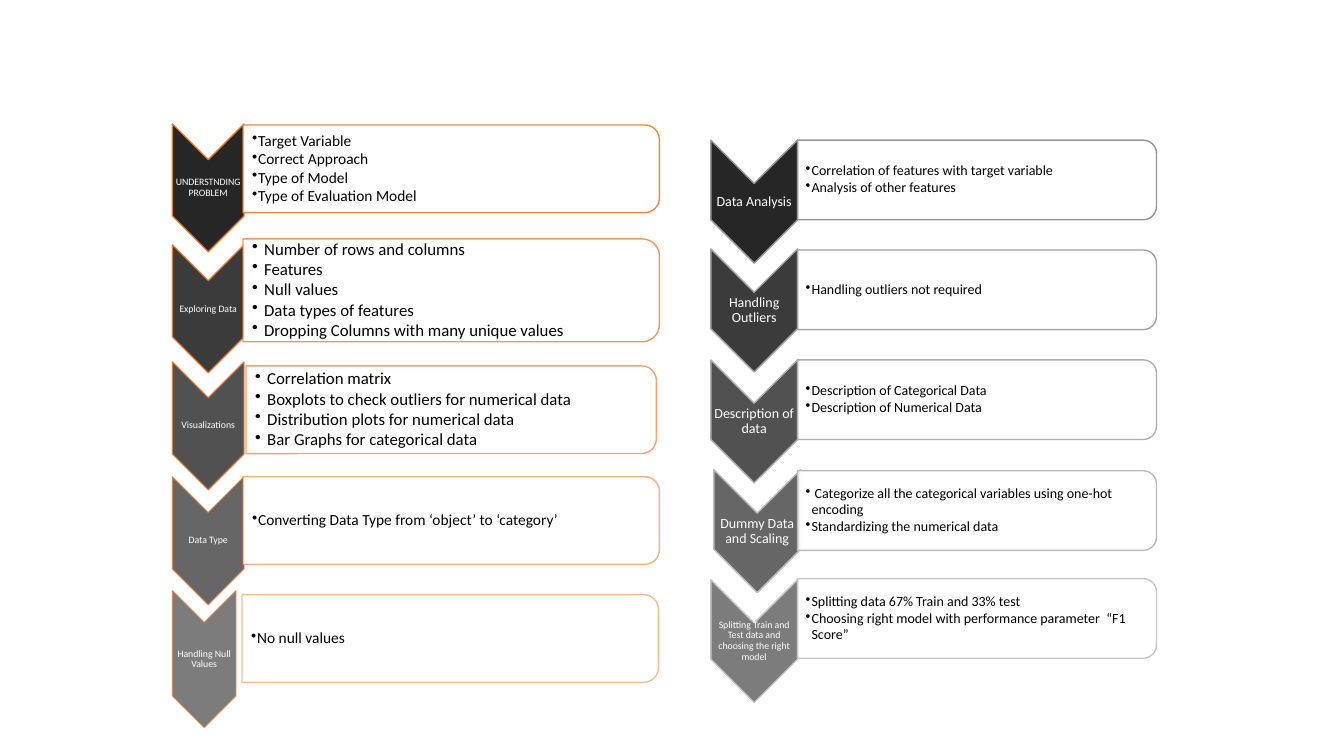
"""Build a slide with two columns of chevron steps, each step beside a bulleted panel."""
import lxml.etree
import pptx
import pptx.dml.color
import pptx.enum.shapes
import pptx.enum.text
import pptx.oxml.ns
import pptx.util
from collections import namedtuple

Step = namedtuple("Step", "label size chev panel text indent points")

LEFT = [
    Step("UNDERSTNDING PROBLEM", 7, (171, 123, 71, 127), (241, 124, 413, 87), 11, 6,
         ["Target Variable", "Correct Approach", "Type of Model",
          "Type of Evaluation Model"]),
    Step("Exploring Data", 7, (171, 243, 71, 127), (241, 237, 413, 102), 12, 12,
         ["Number of rows and columns", "Features", "Null values",
          "Data types of features", "Dropping Columns with many unique values"]),
    Step("Visualizations", 7, (171, 359, 71, 127), (244, 363, 407, 87), 12, 12,
         ["Correlation matrix", "Boxplots to check outliers for numerical data",
          "Distribution plots for numerical data", "Bar Graphs for categorical data"]),
    Step("Data Type", 7, (171, 473, 71, 127), (241, 473, 413, 87), 11, 6,
         ["Converting Data Type from ‘object’ to ‘category’"]),
    Step("Handling Null Values", 7, (171, 586, 63, 136), (240, 590, 413, 87), 11, 6,
         ["No null values"]),
]
RIGHT = [
    Step("Data Analysis", 10, (705, 139, 86, 122), (791, 139, 356, 79), 10, 6,
         ["Correlation of features with target variable", "Analysis of other features"]),
    Step("Handling Outliers", 10, (705, 247, 86, 122), (791, 248, 356, 79), 10, 6,
         ["Handling outliers not required"]),
    Step("Description of data", 10, (705, 357, 86, 122), (791, 357, 356, 79), 10, 6,
         ["Description of Categorical Data", "Description of Numerical Data"]),
    Step("Dummy Data and Scaling", 10, (708, 466, 86, 122), (791, 467, 356, 79), 10, 6,
         [" Categorize all the categorical variables using one-hot encoding",
          "Standardizing the numerical data"]),
    Step("Splitting Train and Test data and choosing the right model", 7,
         (705, 575, 86, 122), (791, 574, 356, 79), 10, 6,
         ["Splitting data 67% Train and 33% test",
          "Choosing right model with performance parameter  “F1 Score”"]),
]
THEME = {
    "font": "Calibri", "dark": "262626", "light": "FFFFFF", "ink": "000000",
    "orange": ["ED7D31"] * 5,
    "grey": ["969696", "A2A2A2", "AEAEAE", "BABABA", "C6C6C6"],
}
SCALE = 9144
MSO = pptx.enum.shapes.MSO_SHAPE
ALIGN = pptx.enum.text.PP_ALIGN


def emu(px):
    return pptx.util.Emu(round(px * SCALE))


def rgb(code):
    return pptx.dml.color.RGBColor.from_string(code)


def paint(fill, code, alpha):
    fill.solid()
    fill.fore_color.rgb = rgb(code)
    if alpha < 100:
        for color in fill._xPr.iter(pptx.oxml.ns.qn("a:srgbClr")):
            tag = pptx.oxml.ns.qn("a:alpha")
            lxml.etree.SubElement(color, tag).set("val", str(alpha * 1000))


def turned(group, kind, box, fill, alpha, line, fade):
    x, y, w, h = box
    shape = group.shapes.add_shape(
        kind, emu(x + (w - h) / 2), emu(y + (h - w) / 2), emu(h), emu(w))
    shape.rotation = 90
    shape.shadow.inherit = False
    paint(shape.fill, fill, alpha)
    shape.line.width = pptx.util.Pt(1)
    paint(shape.line.fill, line, fade)


def write(group, box, lines, size, code, inset, indent=0):
    frame = group.shapes.add_textbox(*map(emu, box)).text_frame
    frame.word_wrap = True
    frame.vertical_anchor = pptx.enum.text.MSO_ANCHOR.MIDDLE
    frame.margin_left = emu(inset)
    frame.margin_top = frame.margin_right = frame.margin_bottom = emu(1 if indent else 0)
    frame.text = "\n".join(lines)
    for para in frame.paragraphs:
        para.line_spacing = 0.9
        font = para.runs[0].font
        font.name, font.size = THEME["font"], pptx.util.Pt(size)
        font.color.rgb = rgb(code)
        if indent:
            para.level = 1
            para.space_after = pptx.util.Pt(round(size * 0.13, 1))
            props = para._p.get_or_add_pPr()
            props.set("marL", str(emu(indent)))
            props.set("indent", str(-emu(indent)))
            bullet = lxml.etree.SubElement(props, pptx.oxml.ns.qn("a:buChar"))
            bullet.set("char", "•")
        else:
            para.alignment = ALIGN.CENTER


def column(slide, steps, lines, fades, inset):
    group = slide.shapes.add_group_shape()
    for row, (step, line, fade) in enumerate(zip(steps, lines, fades)):
        x, y, w, h = step.chev
        turned(group, MSO.CHEVRON, step.chev, THEME["dark"], 100 - 10 * row, line, fade)
        write(group, (x, y + w / 2, w, h - w), [step.label], step.size, THEME["light"], 0)
        x, y, w, h = step.panel
        turned(group, MSO.ROUND_2_SAME_RECTANGLE, step.panel, THEME["light"], 90, line, fade)
        write(group, (x, y + 4, w - 5, h - 8), step.points, step.text, THEME["ink"],
              inset, step.indent)


def main():
    deck = pptx.Presentation()
    deck.slide_width, deck.slide_height = emu(1333), emu(750)
    slide = deck.slides.add_slide(deck.slide_layouts[6])
    column(slide, LEFT, THEME["orange"], range(90, 40, -10), 9)
    column(slide, RIGHT, THEME["grey"], [100] * 5, 8)
    deck.save("out.pptx")


if __name__ == "__main__":
    main()
